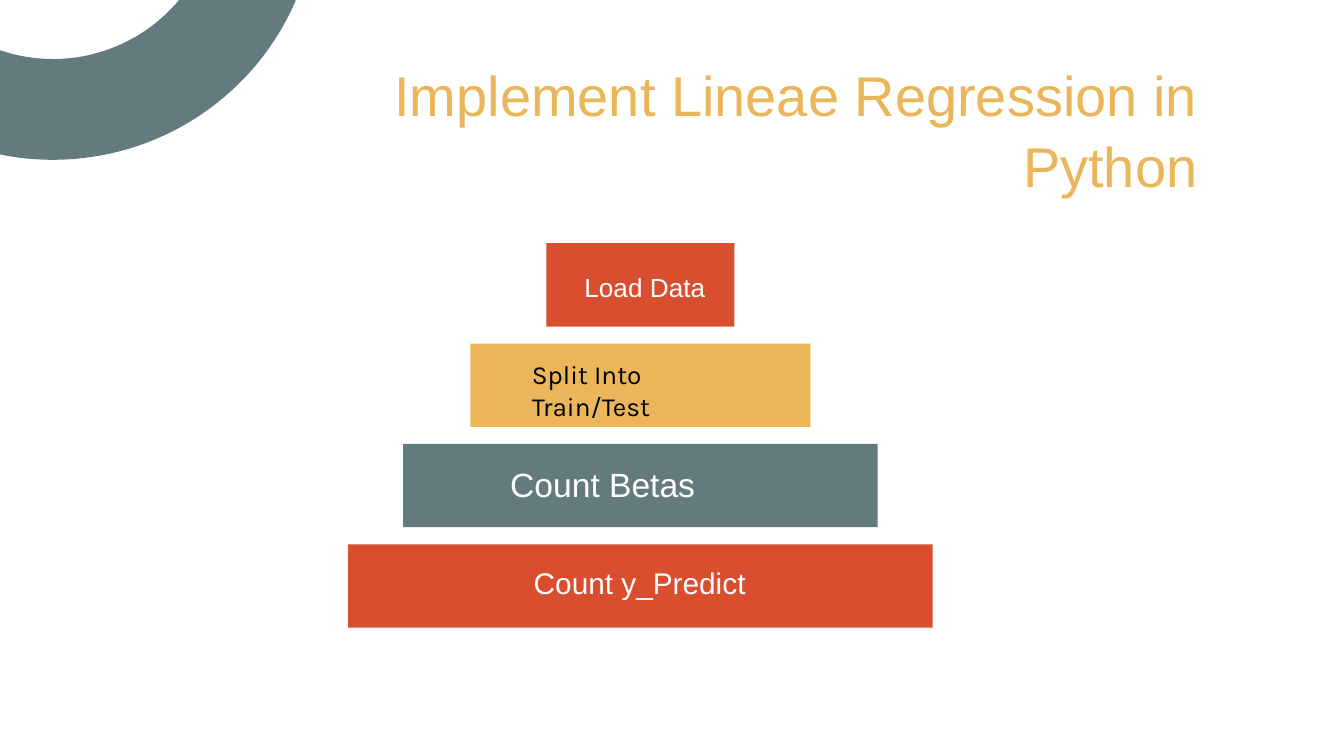
"""Build the slide with the four regression steps stacked as a pyramid of bars."""
import math
from dataclasses import dataclass

from pptx import Presentation
from pptx import util as u
from pptx.dml.color import RGBColor
from pptx.enum import shapes, text

COLORS = {
    "slate": "637B7F",
    "amber": "EBB55A",
    "red": "D84E2E",
    "white": "FFFFFF",
    "black": "000000",
}
SLIDE_WIDTH = u.Inches(10)
SLIDE_HEIGHT = SLIDE_WIDTH * 9 // 16
CELL = SLIDE_WIDTH / 100
BAR_CENTER, BAR_HEIGHT = 47.65, 6.2
FIRST_BAR_TOP, LAST_BAR_TOP = 18.1, 40.5


@dataclass(frozen=True)
class Box:
    left: float
    top: float
    width: float
    height: float

    def lengths(self) -> list[int]:
        return [grid(cells) for cells in (self.left, self.top, self.width, self.height)]


@dataclass(frozen=True)
class Step:
    label: str
    bar_width: float
    fill: str
    box: Box
    size: int
    color: str = "white"
    font: str = "Arial"
    align: text.PP_ALIGN = text.PP_ALIGN.LEFT


TITLE_BOX = Box(19.1, 3.2, 71, 6.3)
STEPS = [
    Step("Load Data", 14, "red", Box(42.5, 19.7, 11.7, 3.4), 14),
    Step("Split Into Train/Test", 25.3, "amber", Box(38.6, 26.2, 19, 3.4), 14,
         color="black", font="Karla"),
    Step("Count Betas ", 35.3, "slate", Box(36.3, 34, 17.1, 4), 18,
         align=text.PP_ALIGN.RIGHT),
    Step("Count y_Predict", 43.5, "red", Box(32.4, 41.5, 30.4, 3.7), 16,
         align=text.PP_ALIGN.CENTER),
]


def grid(cells: float) -> int:
    """Turn grid columns or rows into a length."""
    return round(cells * CELL)


def color(name: str) -> RGBColor:
    """Look up a named colour."""
    return RGBColor.from_string(COLORS[name])


def apply(target: object, values: dict) -> None:
    """Set every attribute named in values."""
    for name, value in values.items():
        setattr(target, name, value)


def paint(shape, fill: str) -> None:
    """Give a shape a flat fill without line or shadow."""
    shape.shadow.inherit = False
    shape.fill.solid()
    shape.fill.fore_color.rgb = color(fill)
    shape.line.fill.background()


def write(shape, words: str, size: int, font: str, ink: str,
          paragraph_format: dict, frame_format: dict) -> None:
    """Put one formatted paragraph into a shape."""
    frame = shape.text_frame
    apply(frame, {"word_wrap": True, **frame_format})
    paragraph = frame.paragraphs[0]
    apply(paragraph, paragraph_format)
    run = paragraph.add_run()
    run.text = words
    apply(run.font, {"size": u.Pt(size), "name": font, "bold": False})
    run.font.color.rgb = color(ink)


def add_ring(slide) -> None:
    """Draw the quarter ring in the top left corner."""
    center_x, center_y, outer, inner = 18.9, 15, 19.7, 12.2
    angles = [math.radians(degree) for degree in range(180, 271, 2)]
    points = [
        (grid(center_x + radius * math.cos(angle)), grid(center_y + radius * math.sin(angle)))
        for radius, arc in ((outer, angles), (inner, angles[::-1]))
        for angle in arc
    ]
    builder = slide.shapes.build_freeform(*points[0])
    builder.add_line_segments(points[1:], close=True)
    ring = builder.convert_to_shape()
    ring.rotation = 203.5
    paint(ring, "slate")


def add_title(slide) -> None:
    """Move and fill the title placeholder."""
    title = slide.shapes.title
    apply(title, dict(zip(("left", "top", "width", "height"), TITLE_BOX.lengths())))
    inset = grid(1)
    write(title, "Implement Lineae Regression in Python", 30, "Arial", "amber",
          {"alignment": text.PP_ALIGN.RIGHT, "line_spacing": 1.06},
          {"vertical_anchor": text.MSO_ANCHOR.TOP, "auto_size": text.MSO_AUTO_SIZE.NONE,
           "margin_left": inset, "margin_right": inset,
           "margin_top": inset, "margin_bottom": inset})


def add_bars(slide) -> None:
    """Stack the centred bars in one group."""
    group = slide.shapes.add_group_shape()
    pitch = (LAST_BAR_TOP - FIRST_BAR_TOP) / (len(STEPS) - 1)
    for row, step in reversed(list(enumerate(STEPS))):
        box = Box(BAR_CENTER - step.bar_width / 2, FIRST_BAR_TOP + row * pitch,
                  step.bar_width, BAR_HEIGHT)
        bar = group.shapes.add_shape(shapes.MSO_SHAPE.RECTANGLE, *box.lengths())
        paint(bar, step.fill)


def add_label(slide, step: Step) -> None:
    """Write the label of one step over its bar."""
    label = slide.shapes.add_textbox(*step.box.lengths())
    write(label, step.label, step.size, step.font, step.color, {"alignment": step.align},
          {"auto_size": text.MSO_AUTO_SIZE.SHAPE_TO_FIT_TEXT})


def main() -> None:
    """Build and save the presentation."""
    presentation = Presentation()
    apply(presentation, {"slide_width": SLIDE_WIDTH, "slide_height": SLIDE_HEIGHT})
    slide = presentation.slides.add_slide(presentation.slide_layouts[5])
    add_ring(slide)
    add_title(slide)
    add_bars(slide)
    for step in STEPS:
        add_label(slide, step)
    presentation.save("out.pptx")


if __name__ == "__main__":
    main()
